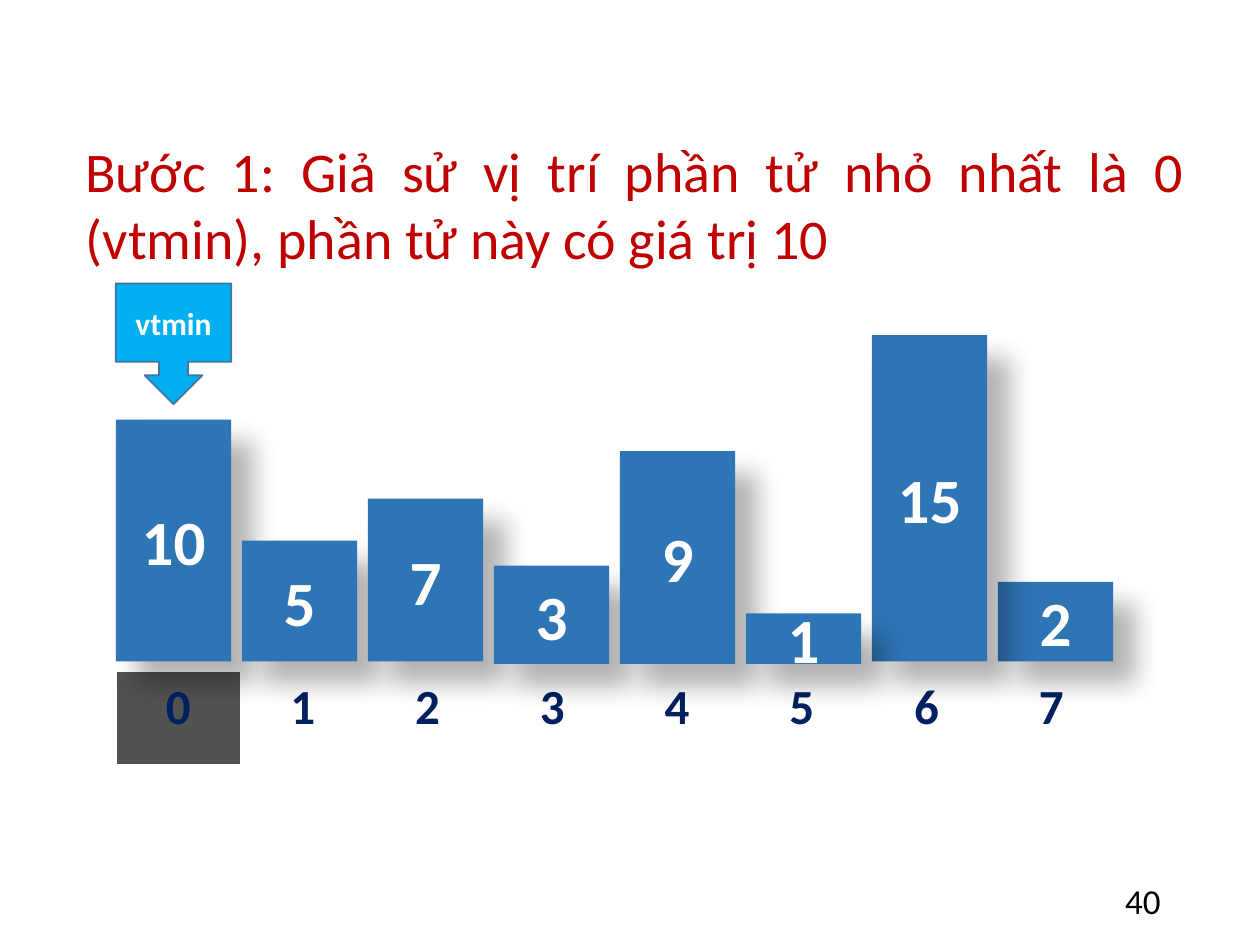
from lxml import etree
from pptx import Presentation
from pptx import util as u
from pptx.dml import color
from pptx.enum import shapes, text
from pptx.oxml import ns

TITLE = "Bước 1: Giả sử vị trí phần tử nhỏ nhất là 0 (vtmin), phần tử này có giá trị 10 "
BARS = [
    (0, 10, 239.8, 378), (1, 5, 309, 378), (2, 7, 285, 378), (3, 3, 323.2, 379.4),
    (4, 9, 257.8, 379.4), (7, 2, 332.6, 378), (6, 15, 191.6, 378), (5, 1, 350.6, 379.4),
]
LEFT, STEP, BAR_WIDTH = 66.2, 72, 66
VALUE = {"size": u.Pt(36), "bold": True}
LABEL = {"size": u.Pt(18), "bold": True}
INDEX = {"size": u.Pt(28), "bold": True}


def rgb(value):
    return color.RGBColor.from_string(value)


def child(parent, tag, **attributes):
    return etree.SubElement(parent, ns.qn(tag), attributes)


class Painter:
    font = "Calibri"
    bar, marker, outline = "2E75B6", "00B0F0", "43739E"
    white, navy, red, black, gray = "FFFFFF", "002060", "C00000", "000000", "525252"

    def __init__(self, slide):
        self.slide = slide

    def add_words(self, frame, words, ink, style, align):
        para = frame.paragraphs[0]
        para.alignment = align
        span = para.add_run()
        span.text = words
        span.font.color.rgb = rgb(ink)
        for name, value in {"name": self.font, **style}.items():
            setattr(span.font, name, value)

    def text_box(self, bounds, words, ink, style, align, anchor):
        box = self.slide.shapes.add_textbox(*map(u.Pt, bounds))
        box.text_frame.word_wrap = True
        box.text_frame.vertical_anchor = anchor
        self.add_words(box.text_frame, words, ink, style, align)

    def block(self, kind, bounds, fill, words, style, line=None):
        box = self.slide.shapes.add_shape(kind, *map(u.Pt, bounds))
        box.shadow.inherit = False
        box.fill.solid()
        box.fill.fore_color.rgb = rgb(fill)
        if line:
            box.line.color.rgb = rgb(line)
            box.line.width = u.Pt(1)
        else:
            box.line.fill.background()
        box.text_frame.word_wrap = True
        box.text_frame.vertical_anchor = text.MSO_ANCHOR.MIDDLE
        self.add_words(box.text_frame, words, self.white, style, text.PP_ALIGN.CENTER)
        return box

    def cast_shadow(self, box):
        effects = box._element.spPr.find(ns.qn("a:effectLst"))
        shadow = child(effects, "a:outerShdw", blurRad=str(u.Pt(15)), dist=str(u.Pt(18)),
                       dir="2700000", algn="tl", rotWithShape="0")
        tint = child(shadow, "a:srgbClr", val=self.black)
        child(tint, "a:alpha", val="30000")

    def index_row(self, bounds, count):
        table = self.slide.shapes.add_table(1, count, *map(u.Pt, bounds)).table
        table.first_row = table.horz_banding = False
        for number, cell in enumerate(table.rows[0].cells):
            self.borders(cell)
            if number == 0:
                cell.fill.solid()
                cell.fill.fore_color.rgb = rgb(self.gray)
            else:
                cell.fill.background()
            self.add_words(cell.text_frame, str(number), self.navy, INDEX, text.PP_ALIGN.CENTER)

    def borders(self, cell):
        properties = cell._tc.get_or_add_tcPr()
        for side, width in {"L": 1, "R": 1, "T": 1, "B": 3}.items():
            line = child(properties, f"a:ln{side}", w=str(u.Pt(width)))
            child(child(line, "a:solidFill"), "a:srgbClr", val=self.white)


def main():
    deck = Presentation()
    deck.slide_width, deck.slide_height = u.Pt(720), u.Pt(540)
    page = Painter(deck.slides.add_slide(deck.slide_layouts[6]))
    page.index_row((LEFT, 383.8, 570.2, 54), len(BARS))
    for index, value, top, bottom in BARS:
        bounds = (LEFT + index * STEP, top, BAR_WIDTH, bottom - top)
        bar = page.block(shapes.MSO_SHAPE.RECTANGLE, bounds, page.bar, str(value), VALUE)
        page.cast_shadow(bar)
    page.text_box((41.8, 74.2, 642.2, 85), TITLE, page.red, {"size": u.Pt(32)},
                  text.PP_ALIGN.JUSTIFY, text.MSO_ANCHOR.TOP)
    page.block(shapes.MSO_SHAPE.DOWN_ARROW_CALLOUT, (LEFT, 162, BAR_WIDTH, 69),
               page.marker, "vtmin", LABEL, page.outline)
    page.text_box((508.3, 500.4, 162, 28.8), "40", page.black, {"size": u.Pt(20)},
                  text.PP_ALIGN.RIGHT, text.MSO_ANCHOR.MIDDLE)
    deck.save("out.pptx")


if __name__ == "__main__":
    main()
